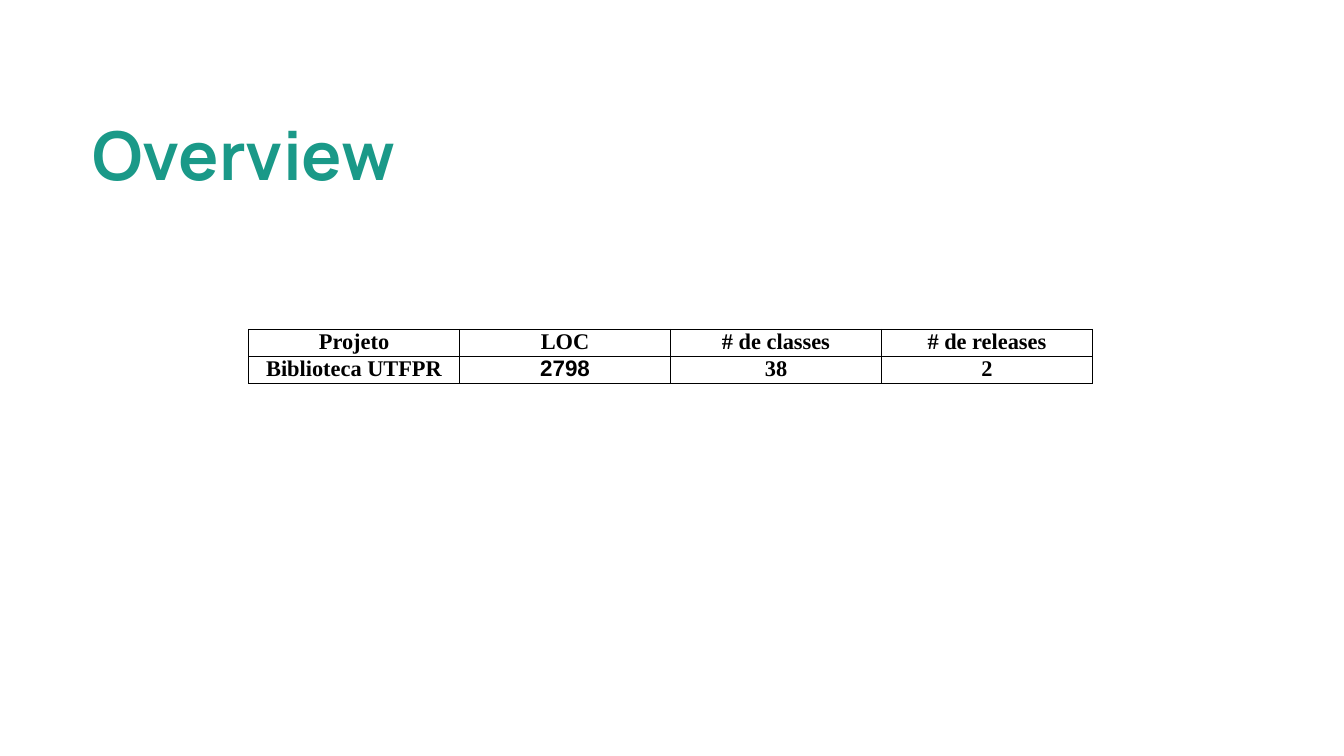
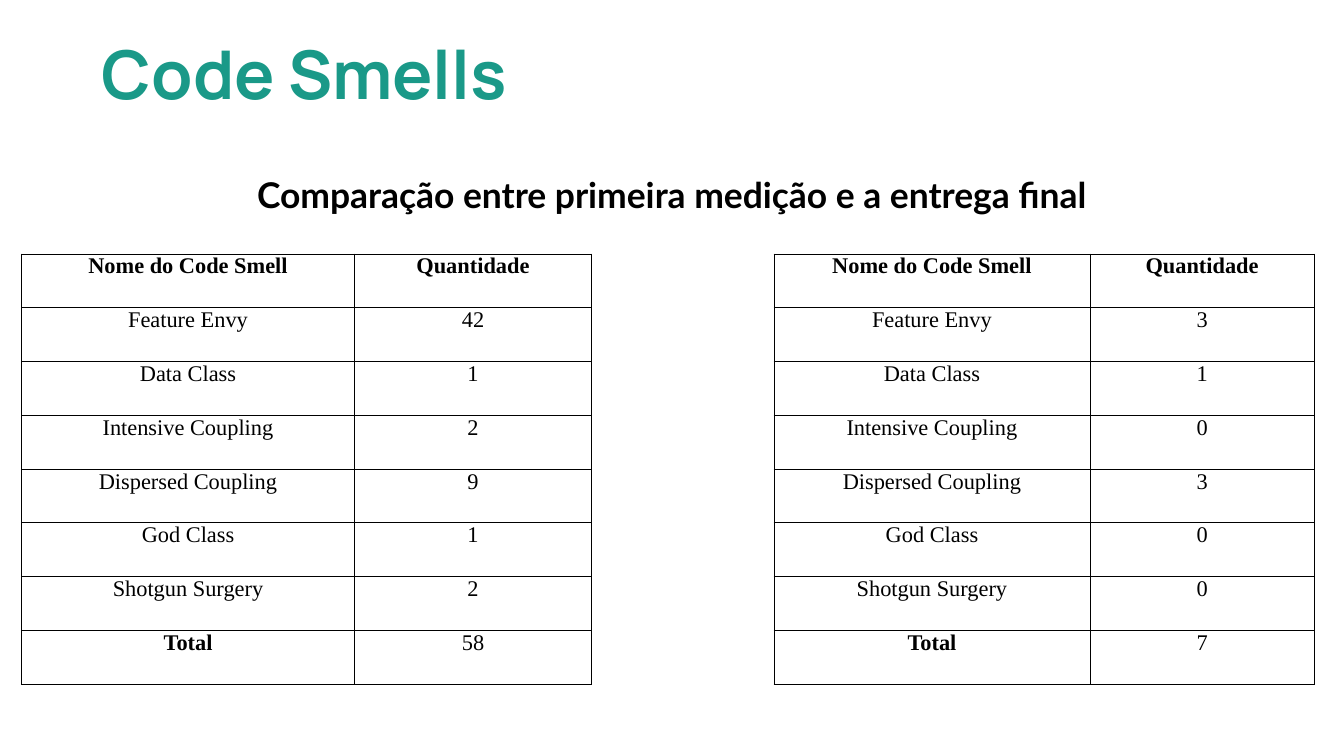
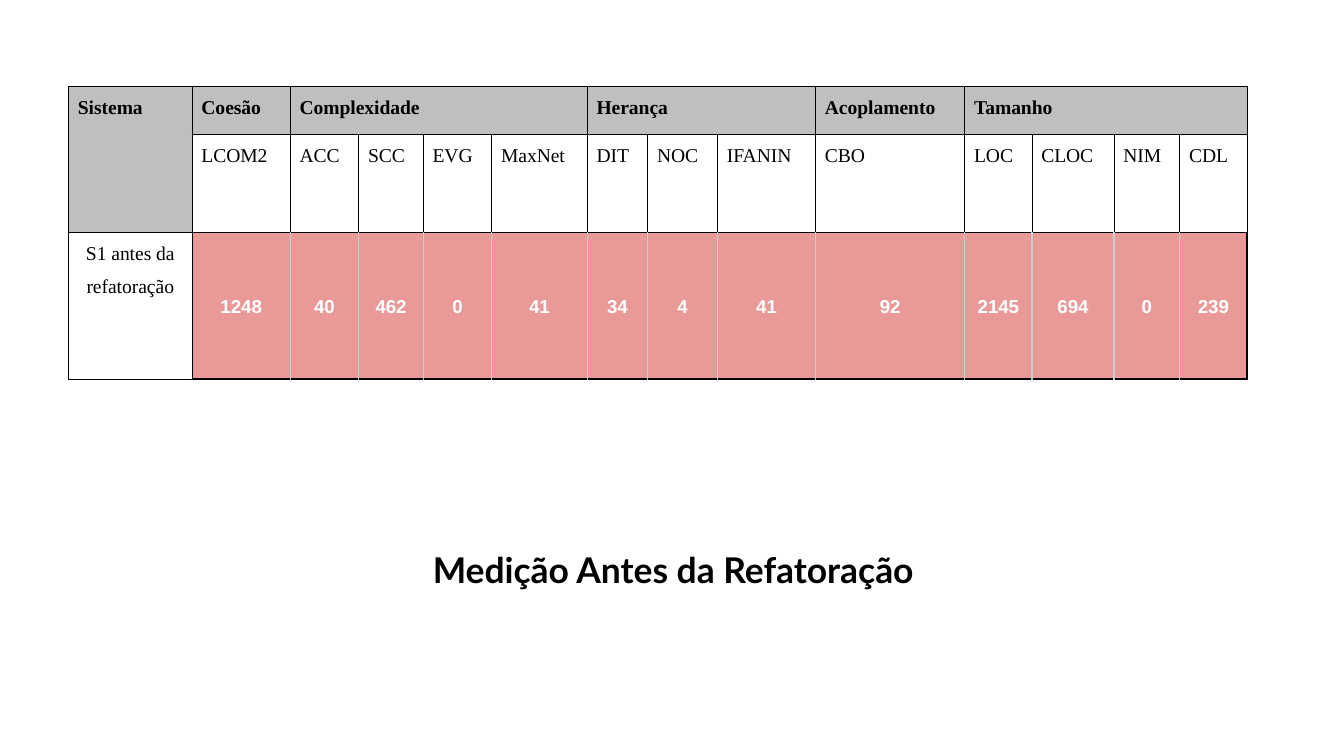
from dataclasses import dataclass, replace

from pptx import Presentation
from pptx import util as u
from pptx.dml.color import RGBColor
from pptx.enum import text
from pptx.oxml import parse_xml
from pptx.oxml.ns import nsdecls

TEAL = RGBColor(0x1A, 0x99, 0x88)
BLACK = RGBColor(0, 0, 0)
WHITE = RGBColor(0xFF, 0xFF, 0xFF)
GREY = RGBColor(0xBF, 0xBF, 0xBF)
LIGHT_GREY = RGBColor(0xCC, 0xCC, 0xCC)
PINK = RGBColor(0xEA, 0x99, 0x99)
SERIF = "Times New Roman"
CENTER = text.PP_ALIGN.CENTER
JUSTIFY = text.PP_ALIGN.JUSTIFY
TOP = text.MSO_ANCHOR.TOP
MIDDLE = text.MSO_ANCHOR.MIDDLE


@dataclass(frozen=True)
class CellStyle:
    """Look of a table cell; borders run left, right, top, bottom."""
    size: float = 12
    font: str = SERIF
    color: RGBColor = BLACK
    bold: bool = False
    align: text.PP_ALIGN = CENTER
    anchor: text.MSO_ANCHOR = TOP
    spacing: float = 1
    after: float = 12
    margins: tuple = (0.07, 0)
    fill: RGBColor = None
    borders: tuple = (BLACK,) * 4
    width: float = 0.5


PLAIN = CellStyle()
BOLD = CellStyle(bold=True)
METRIC = CellStyle(size=10.5, align=JUSTIFY, spacing=1.5, after=0)
GROUP = replace(METRIC, bold=True, fill=GREY)
SYSTEM = replace(METRIC, align=CENTER)
VALUE = CellStyle(size=10, font="Arial", color=WHITE, bold=True, anchor=MIDDLE,
                  spacing=1.15, after=0, margins=(0.03, 0.03), fill=PINK, width=0.75)

SMELLS = ["Feature Envy", "Data Class", "Intensive Coupling", "Dispersed Coupling",
          "God Class", "Shotgun Surgery", "Total"]
FIRST_COUNTS = [42, 1, 2, 9, 1, 2, 58]
FINAL_COUNTS = [3, 1, 0, 3, 0, 0, 7]
GROUPS = [("Coesão", ["LCOM2"]),
          ("Complexidade", ["ACC", "SCC", "EVG", "MaxNet"]),
          ("Herança", ["DIT", "NOC", "IFANIN"]),
          ("Acoplamento", ["CBO"]),
          ("Tamanho", ["LOC", "CLOC", "NIM", "CDL"])]
METRIC_VALUES = [1248, 40, 462, 0, 41, 34, 4, 41, 92, 2145, 694, 0, 239]
METRIC_WIDTHS = [0.92, 0.73, 0.51, 0.48, 0.51, 0.71, 0.45, 0.52, 0.73, 1.11,
                 0.5, 0.61, 0.49, 0.5]


def set_font(p, name, size, color, bold):
    """Set the font of a paragraph."""
    p.font.name = name
    p.font.size = u.Pt(size)
    p.font.color.rgb = color
    p.font.bold = bold


def add_text(s, box, words, font, size, color, align=None, margin_top=0.1):
    """Add a bold one-line text box."""
    tf = s.shapes.add_textbox(*map(u.Inches, box)).text_frame
    tf.word_wrap = True
    tf.margin_left = tf.margin_right = tf.margin_bottom = u.Inches(0.1)
    tf.margin_top = u.Inches(margin_top)
    p = tf.paragraphs[0]
    p.text = words
    p.alignment = align
    set_font(p, font, size, color, True)


def add_title(s, left, top, words):
    """Add a slide title."""
    add_text(s, (left, top, 5.68, 0.84), words, "Manrope", 36, TEAL, margin_top=0.06)


def add_caption(s, left, top, words):
    """Add a centred caption across the slide."""
    add_text(s, (left, top, 10, 0.52), words, "Lato", 19, BLACK, CENTER)


def set_borders(cell, colors, width):
    """Draw the four borders of a cell."""
    tc_pr = cell._tc.get_or_add_tcPr()
    for side, color in zip("LRTB", colors):
        tc_pr.append(parse_xml(
            f'<a:ln{side} {nsdecls("a")} w="{u.Pt(width)}"><a:solidFill>'
            f'<a:srgbClr val="{color}"/></a:solidFill></a:ln{side}>'))


def style_cell(cell, words, style):
    """Write and format one cell."""
    side, top = map(u.Inches, style.margins)
    cell.margin_left = cell.margin_right = side
    cell.margin_top = cell.margin_bottom = top
    cell.vertical_anchor = style.anchor
    set_borders(cell, style.borders, style.width)
    if style.fill is None:
        cell.fill.background()
    else:
        cell.fill.solid()
        cell.fill.fore_color.rgb = style.fill
    p = cell.text_frame.paragraphs[0]
    p.text = str(words)
    p.alignment = style.align
    p.line_spacing = style.spacing
    p.space_after = u.Pt(style.after)
    set_font(p, style.font, style.size, style.color, style.bold)


def add_table(s, left, top, widths, heights, rows):
    """Add a table from rows of (words, style) pairs."""
    frame = s.shapes.add_table(len(heights), len(widths), u.Inches(left), u.Inches(top),
                               u.Inches(sum(widths)), u.Inches(sum(heights)))
    table = frame.table
    table.first_row = table.horz_banding = False
    for column, width in zip(table.columns, widths):
        column.width = u.Inches(width)
    for row, height, pairs in zip(table.rows, heights, rows):
        row.height = u.Inches(height)
        for cell, (words, style) in zip(row.cells, pairs):
            style_cell(cell, words, style)
    return table


def add_smell_table(s, left, widths, counts):
    """Add a table of code smell counts."""
    rows = [[("Nome do Code Smell", BOLD), ("Quantidade", BOLD)]]
    for name, count in zip(SMELLS, counts):
        rows.append([(name, BOLD if name == "Total" else PLAIN), (count, PLAIN)])
    add_table(s, left, 1.89, widths, [0.4] * len(rows), rows)


def add_metric_table(s):
    """Add the table of metrics grouped by quality attribute."""
    header, names, spans = [("Sistema", GROUP)], [("", GROUP)], []
    for group, metrics in GROUPS:
        spans.append((len(header), len(header) + len(metrics) - 1))
        header += [(group, GROUP)] + [("", GROUP)] * (len(metrics) - 1)
        names += [(metric, METRIC) for metric in metrics]
    values = [("S1 antes da refatoração", SYSTEM)]
    last = len(METRIC_VALUES) - 1
    for i, value in enumerate(METRIC_VALUES):
        borders = (LIGHT_GREY if i else BLACK, LIGHT_GREY if i < last else BLACK,
                   BLACK, BLACK)
        values.append((value, replace(VALUE, borders=borders)))
    table = add_table(s, 0.51, 0.64, METRIC_WIDTHS, [0.36, 0.73, 1.09],
                      [header, names, values])
    table.cell(0, 0).merge(table.cell(1, 0))
    for first, end in spans:
        if end > first:
            table.cell(0, first).merge(table.cell(0, end))


def add_overview_slide(s):
    """Fill the project overview slide."""
    add_title(s, 0.59, 0.78, "Overview")
    header = ["Projeto", "LOC", "# de classes", "# de releases"]
    project = [("Biblioteca UTFPR", BOLD), (2798, replace(BOLD, font="Arial")),
               (38, BOLD), (2, BOLD)]
    add_table(s, 1.85, 2.45, [1.57] * 4, [0.01] * 2,
              [[(name, BOLD) for name in header], project])


def add_smells_slide(s):
    """Fill the code smell comparison slide."""
    add_title(s, 0.66, 0.18, "Code Smells")
    add_smell_table(s, 5.76, [2.35, 1.67], FINAL_COUNTS)
    add_caption(s, 0, 1.19, "Comparação entre primeira medição e a entrega final")
    add_smell_table(s, 0.16, [2.48, 1.76], FIRST_COUNTS)


def add_metrics_slide(s):
    """Fill the slide of metrics before refactoring."""
    add_metric_table(s)
    add_caption(s, 0.01, 3.98, "Medição Antes da Refatoração")


def main():
    """Build and save the presentation."""
    prs = Presentation()
    prs.slide_width = u.Inches(10)
    prs.slide_height = prs.slide_width * 9 // 16
    for fill_slide in (add_overview_slide, add_smells_slide, add_metrics_slide):
        fill_slide(prs.slides.add_slide(prs.slide_layouts[6]))
    prs.save("out.pptx")


if __name__ == "__main__":
    main()
